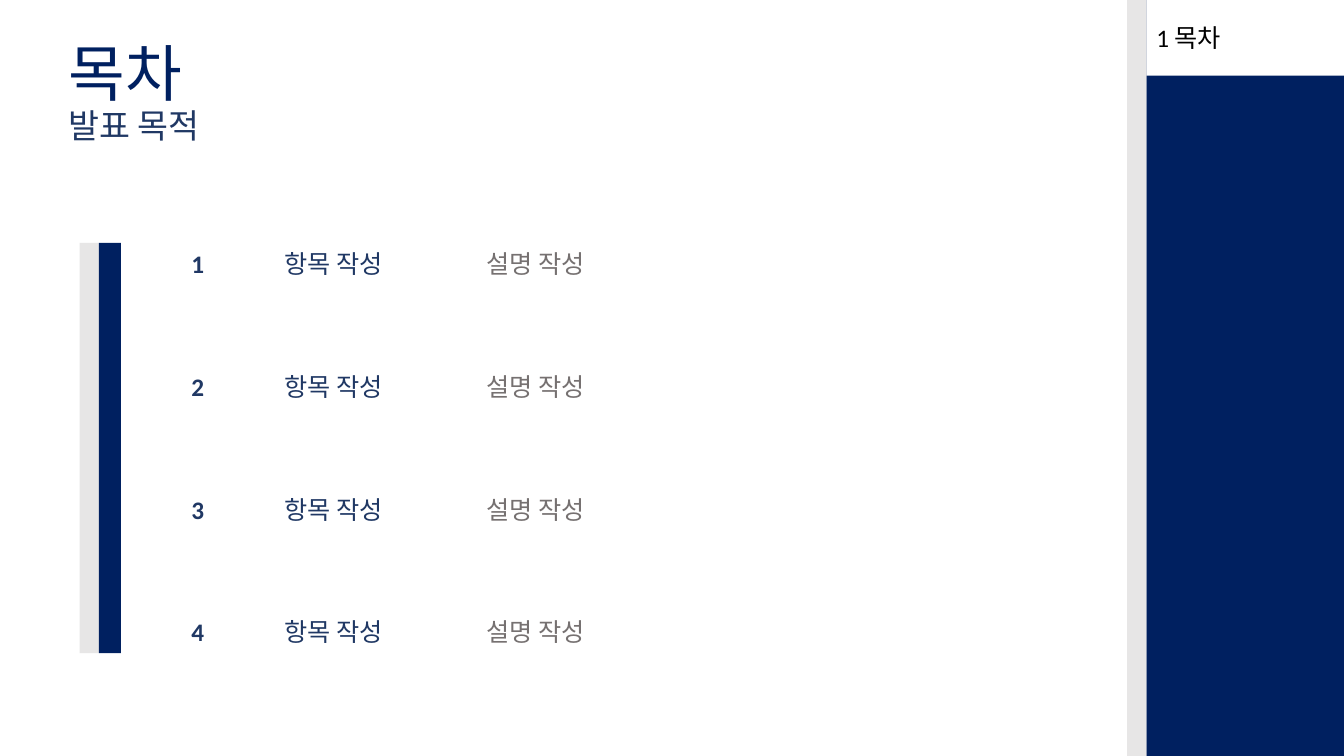
from dataclasses import dataclass

from pptx import Presentation
from pptx.dml.color import RGBColor
from pptx.enum.shapes import MSO_SHAPE
from pptx.enum.text import MSO_ANCHOR, MSO_AUTO_SIZE, PP_ALIGN
from pptx.slide import Slide
from pptx.text.text import TextFrame, _Paragraph
from pptx.util import Inches, Pt

RECTANGLE = MSO_SHAPE.RECTANGLE
TOP = MSO_ANCHOR.TOP
LEFT = PP_ALIGN.LEFT
FIXED_SIZE = MSO_AUTO_SIZE.NONE
GROW_TO_FIT = MSO_AUTO_SIZE.SHAPE_TO_FIT_TEXT


@dataclass(frozen=True)
class Theme:
    font: str = "Calibri"
    navy: str = "002060"
    slate_blue: str = "203864"
    gray: str = "767171"
    light_gray: str = "E7E6E6"
    white: str = "FFFFFF"
    black: str = "000000"
    title_size: int = 44
    subtitle_size: int = 24
    body_size: int = 18


@dataclass(frozen=True)
class Bar:
    left: float
    top: float
    width: float
    height: float
    color: str


@dataclass(frozen=True)
class Label:
    text: str
    left: float
    top: float
    width: float
    color: str
    bold: bool = False


THEME = Theme()
SLIDE_WIDTH, SLIDE_HEIGHT = 13.33, 7.5
SIDEBAR_LEFT, SIDEBAR_WIDTH = 11.37, 1.96
TAB_HEIGHT = 0.75
STRIPE_WIDTH = 0.19
AGENDA_TOP, AGENDA_HEIGHT, AGENDA_STEP = 2.41, 4.07, 1.22
AGENDA_BAR_LEFT = 0.79
LABEL_HEIGHT = 0.4
AGENDA_ITEMS = [("항목 작성", "설명 작성")] * 4


def apply_format(target: object, values: dict[str, object]) -> None:
    for attribute, value in values.items():
        setattr(target, attribute, value)


def add_run(paragraph: _Paragraph, text: str, size: int, color: str, bold: bool = False) -> None:
    run = paragraph.add_run()
    run.text = text
    apply_format(run.font, {"name": THEME.font, "size": Pt(size), "bold": bold})
    run.font.color.rgb = RGBColor.from_string(color)


def draw_bar(slide: Slide, bar: Bar) -> None:
    box = (bar.left, bar.top, bar.width, bar.height)
    rectangle = slide.shapes.add_shape(RECTANGLE, *map(Inches, box))
    rectangle.shadow.inherit = False
    rectangle.fill.solid()
    rectangle.fill.fore_color.rgb = RGBColor.from_string(bar.color)
    rectangle.line.fill.background()


def draw_label(slide: Slide, label: Label) -> None:
    box = (label.left, label.top, label.width, LABEL_HEIGHT)
    frame: TextFrame = slide.shapes.add_textbox(*map(Inches, box)).text_frame
    apply_format(frame, {"word_wrap": False, "auto_size": GROW_TO_FIT})
    add_run(frame.paragraphs[0], label.text, THEME.body_size, label.color, label.bold)


def draw_title(slide: Slide, title: str, subtitle: str) -> None:
    heading = slide.shapes.title
    apply_format(heading, {
        "left": Inches(0.58), "top": Inches(0.38),
        "width": Inches(5.61), "height": Inches(2.61),
    })
    frame = heading.text_frame
    apply_format(frame, {"word_wrap": True, "auto_size": FIXED_SIZE, "vertical_anchor": TOP})
    paragraph = frame.paragraphs[0]
    apply_format(paragraph, {"alignment": LEFT, "line_spacing": 0.9, "space_before": Pt(0)})
    add_run(paragraph, title, THEME.title_size, THEME.navy)
    paragraph.add_line_break()
    add_run(paragraph, subtitle, THEME.subtitle_size, THEME.slate_blue)


def agenda_labels() -> list[Label]:
    labels = []
    for index, (item, description) in enumerate(AGENDA_ITEMS):
        top = AGENDA_TOP + index * AGENDA_STEP
        labels += [
            Label(str(index + 1), 1.8, top, 0.36, THEME.slate_blue, bold=True),
            Label(item, 2.72, top, 1.24, THEME.slate_blue),
            Label(description, 4.73, top, 1.24, THEME.gray),
        ]
    return labels


presentation = Presentation()
apply_format(presentation, {
    "slide_width": Inches(SLIDE_WIDTH), "slide_height": Inches(SLIDE_HEIGHT),
})
agenda = presentation.slides.add_slide(presentation.slide_layouts.get_by_name("Title Only"))

bars = [
    Bar(SIDEBAR_LEFT, 0, SIDEBAR_WIDTH, SLIDE_HEIGHT, THEME.navy),
    Bar(SIDEBAR_LEFT, 0, SIDEBAR_WIDTH, TAB_HEIGHT, THEME.white),
    Bar(SIDEBAR_LEFT - STRIPE_WIDTH, 0, STRIPE_WIDTH, SLIDE_HEIGHT, THEME.light_gray),
    Bar(AGENDA_BAR_LEFT, AGENDA_TOP, STRIPE_WIDTH, AGENDA_HEIGHT, THEME.light_gray),
    Bar(AGENDA_BAR_LEFT + STRIPE_WIDTH, AGENDA_TOP, 0.22, AGENDA_HEIGHT, THEME.navy),
]
current_section = Label("1 목차", SIDEBAR_LEFT, 0.17, 0.92, THEME.black)

draw_title(agenda, "목차", "발표 목적")
for bar in bars:
    draw_bar(agenda, bar)
for label in [current_section, *agenda_labels()]:
    draw_label(agenda, label)

presentation.save("out.pptx")
